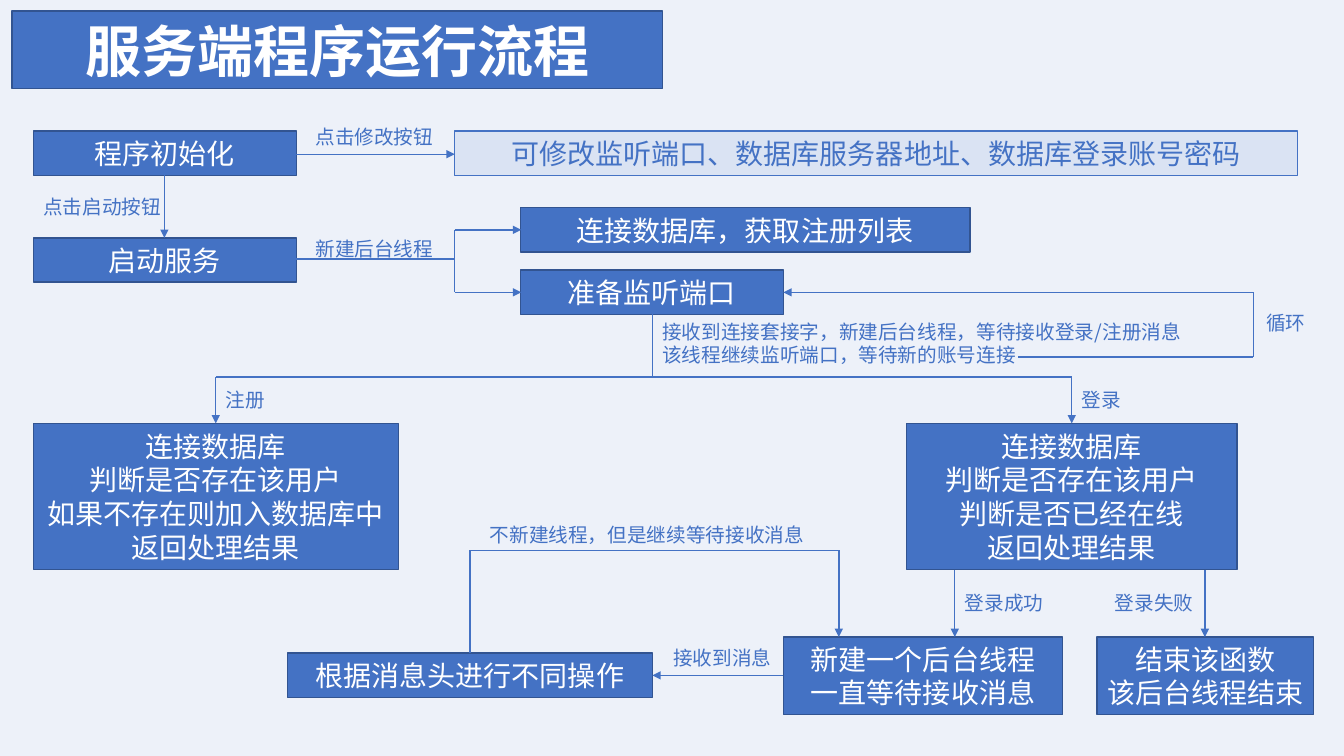
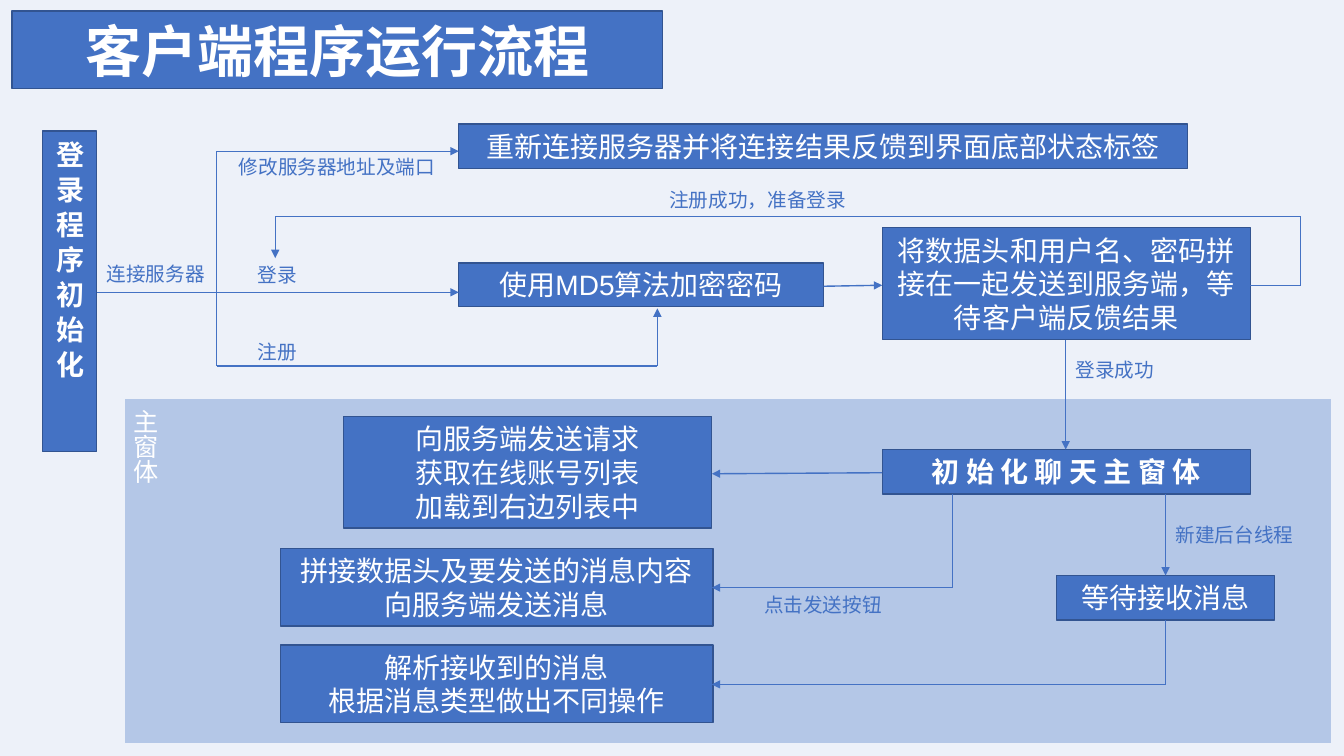
from lxml.etree import SubElement
from pptx import Presentation
from pptx.dml.color import RGBColor
from pptx.enum.shapes import MSO_CONNECTOR as Link, MSO_SHAPE as Form
from pptx.enum.text import MSO_ANCHOR as Anchor, MSO_AUTO_SIZE as Fit, PP_ALIGN as Align
from pptx.oxml.ns import qn
from pptx.util import Inches, Pt

BLUE, DARK, PALE, PANEL, BACK, WHITE = "4472C4", "325491", "DAE3F3", "B4C7E7", "EDF1F9", "FFFFFF"
FACE = "Noto Sans CJK SC"
TILE = dict(size=20, ink=WHITE, fill=BLUE, edge=DARK, align=Align.CENTER, anchor=Anchor.MIDDLE, wrap=True)


def hue(code):
    return RGBColor.from_string(code)


def write(slide, text, at, size=14, ink=BLUE, fill=None, edge=None, bold=False, latin=FACE,
          align=Align.LEFT, anchor=Anchor.TOP, wrap=False, grow=True, vert=None):
    area = [Inches(n) for n in at]
    if fill:
        box = slide.shapes.add_shape(Form.RECTANGLE, *area)
        box.shadow.inherit = False
        box.fill.solid()
        box.fill.fore_color.rgb = hue(fill)
    else:
        box = slide.shapes.add_textbox(*area)
    if edge:
        box.line.color.rgb = hue(edge)
        box.line.width = Pt(1)
    else:
        box.line.fill.background()
    frame = box.text_frame
    frame.text = text
    frame.word_wrap = wrap
    frame.auto_size = Fit.SHAPE_TO_FIT_TEXT if grow else Fit.NONE
    frame.vertical_anchor = anchor
    if vert:
        frame._txBody.bodyPr.set("vert", vert)
    for para in frame.paragraphs:
        para.alignment = align
        for run in para.runs:
            font = run.font
            font.size, font.bold, font.name = Pt(size), bold, latin
            font.color.rgb = hue(ink)
            SubElement(run._r.get_or_add_rPr(), qn("a:ea")).set("typeface", FACE)


server = dict(
    title="服务端程序运行流程",
    labels=[
        ("不新建线程，但是继续等待接收消息", (4.76, 5.14, 3.46, 0.34), {}),
        ("接收到消息", (6.58, 6.36, 1.18, 0.34), {}),
        ("登录成功", (9.47, 5.81, 0.99, 0.34), {}),
        ("登录失败", (10.96, 5.81, 0.99, 0.34), {}),
        ("登录", (10.63, 3.8, 0.59, 0.34), {}),
        ("注册", (2.14, 3.8, 0.59, 0.34), {}),
        ("接收到连接套接字，新建后台线程，等待接收登录/注册消息\n该线程继续监听端口，等待新的账号连接",
         (6.47, 3.12, 5.58, 0.57), dict(wrap=True)),
        ("点击修改按钮", (3.03, 1.19, 1.38, 0.34), {}),
        ("新建后台线程", (3.03, 2.3, 1.38, 0.34), {}),
        ("点击启动按钮", (0.33, 1.88, 1.38, 0.34), {}),
        ("循环", (12.46, 3.04, 0.59, 0.34), {}),
    ],
    tiles=[
        ("程序初始化", (0.33, 1.3, 2.61, 0.44), {}),
        ("可修改监听端口、数据库服务器地址、数据库登录账号密码", (4.51, 1.3, 8.36, 0.44),
         dict(ink=BLUE, fill=PALE, edge=BLUE)),
        ("启动服务", (0.33, 2.36, 2.61, 0.44), {}),
        ("连接数据库，获取注册列表", (5.16, 2.06, 4.46, 0.44), {}),
        ("准备监听端口", (5.16, 2.68, 2.61, 0.44), {}),
        ("连接数据库\n判断是否存在该用户\n如果不存在则加入数据库中\n返回处理结果", (0.33, 4.2, 3.62, 1.45), {}),
        ("连接数据库\n判断是否存在该用户\n判断是否已经在线\n返回处理结果", (8.99, 4.2, 3.28, 1.45), {}),
        ("结束该函数\n该后台线程结束", (10.88, 6.32, 2.15, 0.77), {}),
        ("新建一个后台线程\n一直等待接收消息", (7.77, 6.32, 2.77, 0.77), {}),
        ("根据消息头进行不同操作", (2.85, 6.48, 3.62, 0.44), {}),
    ],
    routes=[
        [(2.94, 1.53), (4.51, 1.53)],
        [(1.63, 1.74), (1.63, 2.36)],
        [(2.94, 2.57), (4.51, 2.57), (4.51, 2.28), (5.17, 2.28)],
        [(4.51, 2.57), (4.51, 2.9), (5.17, 2.9)],
        [(6.47, 3.12), (6.47, 3.74), (2.14, 3.74), (2.14, 4.2)],
        [(6.47, 3.74), (10.63, 3.74), (10.63, 4.2)],
        [(10.1, 3.54), (12.43, 3.54), (12.43, 2.9), (7.77, 2.9)],
        [(9.47, 5.65), (9.47, 6.32)],
        [(11.95, 5.65), (11.95, 6.32)],
        [(7.77, 6.7), (6.47, 6.7)],
        [(4.66, 6.48), (4.66, 5.46), (8.32, 5.46), (8.32, 6.32)],
    ],
)

client = dict(
    title="客户端程序运行流程",
    labels=[
        ("主窗体", (1.24, 3.96, 11.96, 3.41),
         dict(TILE, size=18, fill=PANEL, edge=None, anchor=Anchor.BOTTOM, grow=False, vert="eaVert")),
        ("修改服务器地址及端口", (2.27, 1.49, 2.17, 0.34), {}),
        ("点击发送按钮", (7.48, 5.83, 1.38, 0.34), {}),
        ("连接服务器", (0.96, 2.55, 1.21, 0.34), {}),
        ("注册", (2.46, 3.32, 0.59, 0.34), {}),
        ("登录", (2.46, 2.56, 0.59, 0.34), {}),
        ("注册成功，准备登录", (6.54, 1.82, 1.97, 0.34), {}),
        ("登录成功", (10.57, 3.5, 0.99, 0.34), {}),
        ("新建后台线程", (11.56, 5.14, 1.38, 0.34), {}),
    ],
    tiles=[
        ("登 录 程 序 初 始 化", (0.42, 1.3, 0.54, 3.18), dict(bold=True, vert="eaVert")),
        ("重新连接服务器并将连接结果反馈到界面底部状态标签", (4.55, 1.23, 7.23, 0.44), {}),
        ("使用MD5算法加密密码", (4.55, 2.61, 3.62, 0.43), dict(latin="Arial")),
        ("将数据头和用户名、密码拼接在一起发送到服务端，等待客户端反馈结果", (8.75, 2.26, 3.65, 1.11), {}),
        ("初 始 化 聊 天 主 窗 体", (8.75, 4.46, 3.65, 0.44), dict(bold=True)),
        ("向服务端发送请求\n获取在线账号列表\n加载到右边列表中", (3.41, 4.13, 3.65, 1.11), {}),
        ("等待接收消息", (10.48, 5.71, 2.16, 0.44), {}),
        ("拼接数据头及要发送的消息内容\n向服务端发送消息", (2.78, 5.44, 4.29, 0.77), {}),
        ("解析接收到的消息\n根据消息类型做出不同操作", (2.78, 6.4, 4.29, 0.77), {}),
    ],
    routes=[
        [(0.96, 2.9), (4.55, 2.9)],
        [(2.15, 2.9), (2.15, 1.5), (4.55, 1.5)],
        [(2.15, 2.9), (2.15, 3.63), (6.52, 3.63), (6.52, 3.06)],
        [(8.17, 2.84), (8.75, 2.83)],
        [(12.4, 2.83), (12.9, 2.83), (12.9, 2.15), (2.73, 2.15), (2.73, 2.56)],
        [(10.57, 3.37), (10.57, 4.46)],
        [(8.75, 4.69), (7.06, 4.7)],
        [(11.56, 4.9), (11.56, 5.71)],
        [(9.45, 4.9), (9.45, 5.83), (7.06, 5.83)],
        [(11.56, 6.15), (11.56, 6.79), (7.06, 6.79)],
    ],
)

deck = Presentation()
deck.slide_width, deck.slide_height = Inches(13.33), Inches(7.5)
back = deck.slide_master.background.fill
back.solid()
back.fore_color.rgb = hue(BACK)

for page in (server, client):
    slide = deck.slides.add_slide(deck.slide_layouts[6])
    for text, at, look in page["labels"]:
        write(slide, text, at, **look)
    write(slide, page["title"], (0.12, 0.11, 6.45, 0.77), **dict(TILE, size=40, bold=True))
    for text, at, look in page["tiles"]:
        write(slide, text, at, **dict(TILE, **look))
    for route in page["routes"]:
        for start, end in zip(route, route[1:]):
            line = slide.shapes.add_connector(Link.STRAIGHT, *[Inches(n) for n in start + end])
            line.line.color.rgb = hue(BLUE)
            line.line.width = Pt(1)
            SubElement(line._element.spPr, qn("a:effectLst"))
        SubElement(line.line._get_or_add_ln(), qn("a:tailEnd")).set("type", "triangle")

deck.save("out.pptx")
